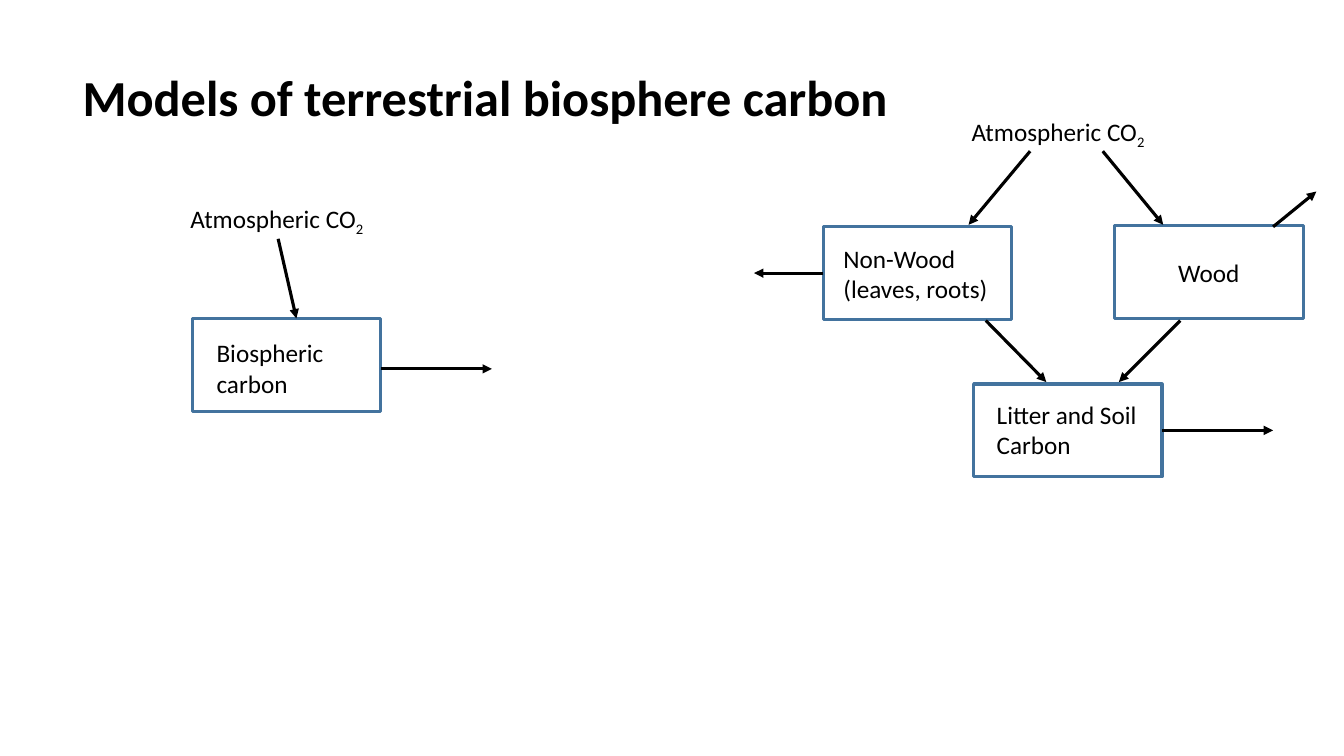
from lxml import etree
from pptx import Presentation
from pptx.dml.color import RGBColor
from pptx.enum import shapes as kinds, text
from pptx.oxml import ns
from pptx.util import Pt

BLACK = RGBColor(0x00, 0x00, 0x00)
BLUE = RGBColor(0x43, 0x73, 0x9E)
LINE = Pt(2.25)


def style(run, **more):
    look = {"name": "Calibri", "size": Pt(18), **more}
    for key, value in look.items():
        setattr(run.font, key, value)
    run.font.color.rgb = BLACK


deck = Presentation()
deck.slide_width, deck.slide_height = Pt(960), Pt(540)
slide = deck.slides.add_slide(deck.slide_layouts[5])

# Title
title = slide.shapes.title
place = {"left": 51.8, "top": 19.4, "width": 828, "height": 104.4}
for key, value in place.items():
    setattr(title, key, Pt(value))
frame = title.text_frame
frame.vertical_anchor = text.MSO_ANCHOR.MIDDLE
frame.auto_size = text.MSO_AUTO_SIZE.NONE
para = frame.paragraphs[0]
para.alignment = text.PP_ALIGN.LEFT
para.line_spacing = 0.9
run = para.add_run()
run.text = "Models of terrestrial biosphere carbon"
style(run, size=Pt(36), bold=True)

# Carbon pools: one-box model, then the three-box model
pools = [(137.5, 227.5), (588.2, 162), (796.3, 161.3), (695.5, 274.3)]
for left, top in pools:
    box = slide.shapes.add_shape(kinds.MSO_SHAPE.RECTANGLE,
                                 Pt(left), Pt(top), Pt(134.6), Pt(66.2))
    box.shadow.inherit = False
    box.fill.background()
    box.line.color.rgb = BLUE
    box.line.width = LINE

# Labels: left, top, width, height, wrap, lines, subscript
labels = [
    (128.9, 141.8, 140.4, 28.8, False, ["Atmospheric CO"], "2"),
    (686.9, 79.2, 140.4, 28.8, False, ["Atmospheric CO"], "2"),
    (147.6, 237.6, 114.5, 51.1, True, ["Biospheric carbon"], ""),
    (595.4, 169.9, 118.8, 51.1, False, ["Non-Wood", "(leaves, roots)"], ""),
    (834.5, 180, 59, 28.8, False, ["Wood"], ""),
    (704.9, 281.5, 120.2, 51.1, True, ["Litter and Soil Carbon"], ""),
]
for left, top, width, height, wrap, lines, sub in labels:
    label = slide.shapes.add_textbox(Pt(left), Pt(top), Pt(width), Pt(height))
    frame = label.text_frame
    frame.word_wrap = wrap
    frame.auto_size = text.MSO_AUTO_SIZE.SHAPE_TO_FIT_TEXT
    for i, words in enumerate(lines):
        para = frame.add_paragraph() if i else frame.paragraphs[0]
        run = para.add_run()
        run.text = words
        style(run)
    if sub:
        run = para.add_run()
        run.text = sub
        style(run)
        run._r.get_or_add_rPr().set("baseline", "-25000")

# Fluxes: start x, y and end x, y, with the arrowhead at the end
fluxes = [
    (198.7, 170.6, 211.7, 227.5),
    (272.2, 263.5, 351.4, 263.5),
    (735.8, 108, 691.9, 160.6),
    (787.7, 108, 830.9, 160.6),
    (704.2, 229, 747.4, 272.9),
    (843.1, 229, 799.2, 272.9),
    (830.2, 307.4, 909.4, 307.4),
    (588.2, 195.1, 538.6, 195.1),
    (909.4, 162, 940.3, 136.8),
]
for ends in fluxes:
    flux = slide.shapes.add_connector(kinds.MSO_CONNECTOR.STRAIGHT,
                                      *map(Pt, ends))
    flux.line.color.rgb = BLACK
    flux.line.width = LINE
    tip = etree.SubElement(flux.line._get_or_add_ln(), ns.qn("a:tailEnd"))
    tip.set("type", "triangle")
    etree.SubElement(flux._element.spPr, ns.qn("a:effectLst"))

deck.save("out.pptx")
